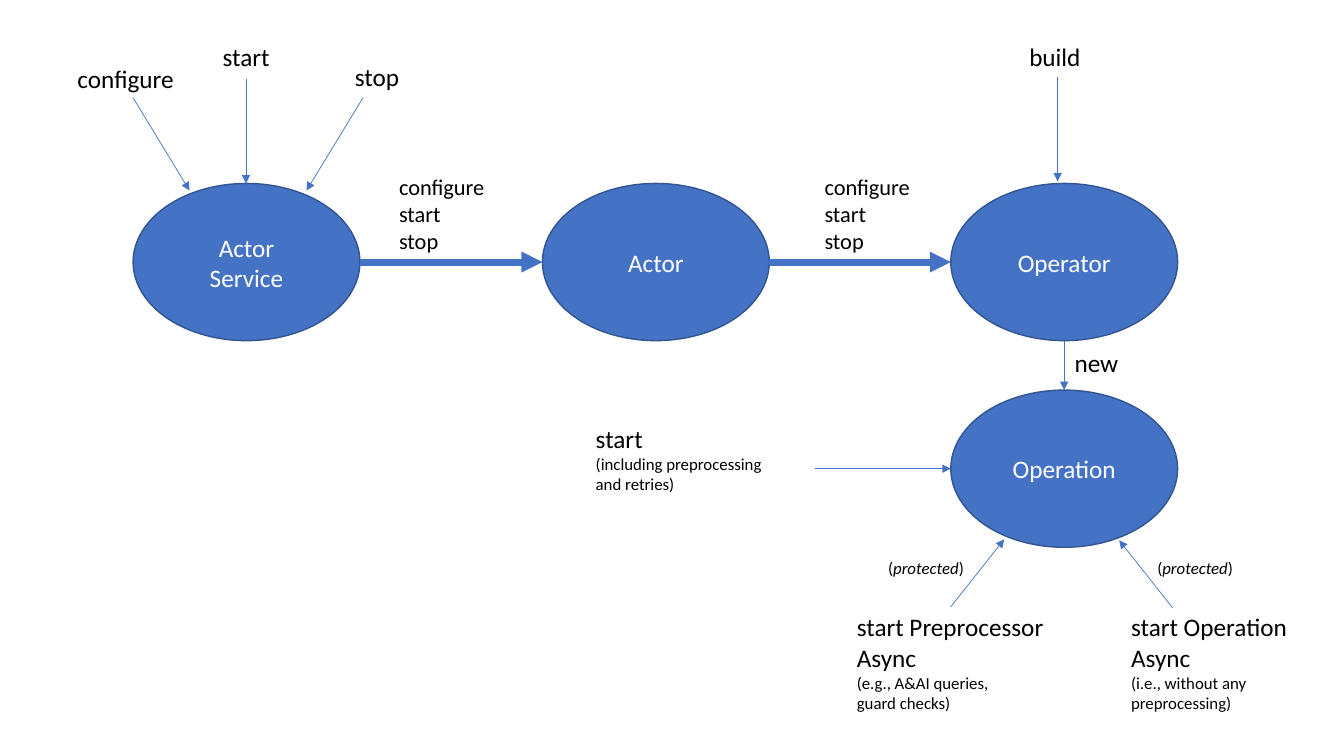
from lxml import etree
from pptx import Presentation
from pptx import util as u
from pptx.dml.color import RGBColor
from pptx.enum import shapes, text
from pptx.oxml import ns

FONT = "Calibri"
BLUE, OUTLINE, BLACK, WHITE = "4472C4", "325491", "000000", "FFFFFF"
OVAL_WIDTH, OVAL_HEIGHT = 2.25, 1.56
COLUMNS = (1.32, 5.38, 9.43)
TOP_ROW, BOTTOM_ROW = 1.82, 3.87
TOP_MIDDLE = TOP_ROW + OVAL_HEIGHT / 2
BOTTOM_MIDDLE = BOTTOM_ROW + OVAL_HEIGHT / 2
THIN, THICK = 0.5, 5


def color(value):
    return RGBColor.from_string(value)


def apply(target, settings):
    for name, value in settings.items():
        setattr(target, name, value)


def write(frame, lines, ink, alignment):
    """Fill a frame; a line is (size, piece, ...), every second piece italic."""
    for index, (size, *pieces) in enumerate(lines):
        para = frame.paragraphs[0] if index == 0 else frame.add_paragraph()
        para.alignment = alignment
        for position, piece in enumerate(pieces):
            span = para.add_run()
            span.text = piece
            apply(span.font, {"name": FONT, "size": u.Pt(size), "italic": position % 2 == 1})
            span.font.color.rgb = color(ink)


def add_oval(page, left, top, *words):
    oval = page.shapes.add_shape(
        shapes.MSO_SHAPE.OVAL,
        *map(u.Inches, (left, top, OVAL_WIDTH, OVAL_HEIGHT)),
    )
    oval.shadow.inherit = False
    oval.fill.solid()
    oval.fill.fore_color.rgb = color(BLUE)
    oval.line.color.rgb = color(OUTLINE)
    oval.line.width = u.Pt(1)
    oval.text_frame.vertical_anchor = text.MSO_ANCHOR.MIDDLE
    write(oval.text_frame, [(18, word) for word in words], WHITE, text.PP_ALIGN.CENTER)


def add_arrow(page, start, end, width=THIN):
    arrow = page.shapes.add_connector(
        shapes.MSO_CONNECTOR.STRAIGHT, *map(u.Inches, (*start, *end))
    )
    arrow.line.color.rgb = color(BLUE)
    arrow.line.width = u.Pt(width)
    etree.SubElement(arrow.line._get_or_add_ln(), ns.qn("a:tailEnd"), type="triangle")
    etree.SubElement(arrow._element.spPr, ns.qn("a:effectLst"))


def add_label(page, place, *lines):
    box = page.shapes.add_textbox(*map(u.Inches, place))
    apply(box.text_frame, {"word_wrap": False, "auto_size": text.MSO_AUTO_SIZE.SHAPE_TO_FIT_TEXT})
    write(box.text_frame, lines, BLACK, text.PP_ALIGN.LEFT)


def add_actor_chain(page):
    names = (("Actor", "Service"), ("Actor",), ("Operator",))
    for left, words in zip(COLUMNS, names):
        add_oval(page, left, TOP_ROW, *words)
    for left, following, label_left in zip(COLUMNS, COLUMNS[1:], (3.86, 8.08)):
        add_arrow(page, (left + OVAL_WIDTH, TOP_MIDDLE), (following, TOP_MIDDLE), THICK)
        add_label(page, (label_left, 1.67, 1.06, 0.91),
                  (16, "configure"), (16, "start"), (16, "stop"))


def add_service_calls(page):
    calls = (
        ("configure", (0.67, 0.58, 1.17, 0.4), (1.32, 0.97), (1.88, 1.89)),
        ("start", (2.11, 0.36, 0.67, 0.4), (2.44, 0.78), (2.44, TOP_ROW)),
        ("stop", (3.42, 0.56, 0.65, 0.4), (3.6, 0.97), (3.04, 1.89)),
        ("build", (10.11, 0.36, 0.72, 0.4), (10.49, 0.76), (10.49, 1.8)),
    )
    for word, place, start, end in calls:
        add_label(page, place, (18, word))
        add_arrow(page, start, end)


def add_operation(page):
    left = COLUMNS[-1]
    center = left + OVAL_WIDTH / 2
    add_oval(page, left, BOTTOM_ROW, "Operation")
    add_arrow(page, (center, TOP_ROW + OVAL_HEIGHT), (center, BOTTOM_ROW))
    add_label(page, (10.56, 3.4, 0.64, 0.4), (18, "new"))
    add_arrow(page, (8.08, BOTTOM_MIDDLE), (left, BOTTOM_MIDDLE))
    add_label(page, (5.81, 4.15, 1.91, 0.81),
              (18, "start"), (12, "(including preprocessing"), (12, "and retries)"))


def add_protected_calls(page):
    calls = (
        (8.4, 2.07, "start Preprocessor", "(e.g., A&AI queries,", "guard checks)",
         8.71, (9.43, 6.02), (9.96, 5.35)),
        (11.12, 1.76, "start Operation", "(i.e., without any", "preprocessing)",
         11.38, (11.63, 6.03), (11.1, 5.36)),
    )
    for left, width, name, detail, more, note_left, start, end in calls:
        add_label(page, (left, 6.02, width, 1.11),
                  (18, name), (18, "Async"), (12, detail), (12, more))
        add_label(page, (note_left, 5.48, 0.97, 0.3), (12, "(", "protected", ")"))
        add_arrow(page, start, end)


def main():
    deck = Presentation()
    apply(deck, {"slide_width": u.Inches(13.33), "slide_height": u.Inches(7.5)})
    page = deck.slides.add_slide(deck.slide_layouts.get_by_name("Blank"))
    add_actor_chain(page)
    add_service_calls(page)
    add_operation(page)
    add_protected_calls(page)
    deck.save("out.pptx")


if __name__ == "__main__":
    main()
